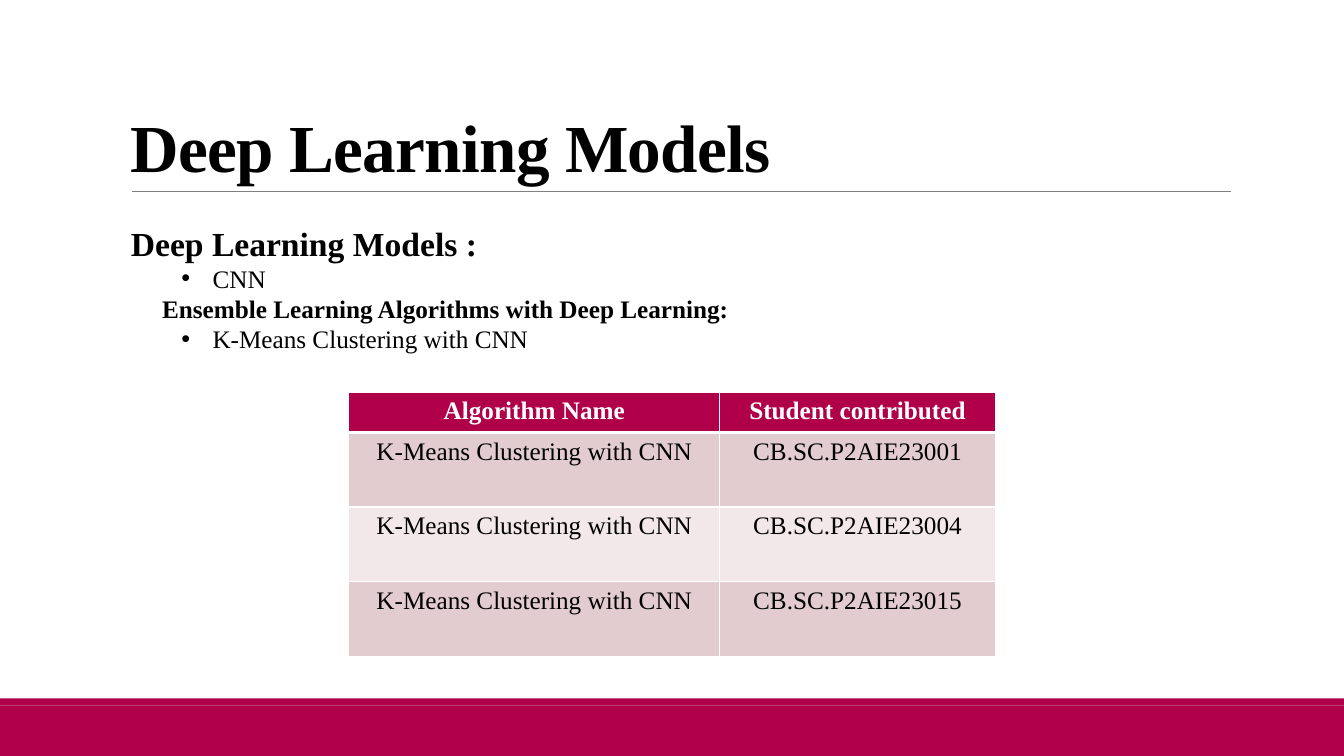
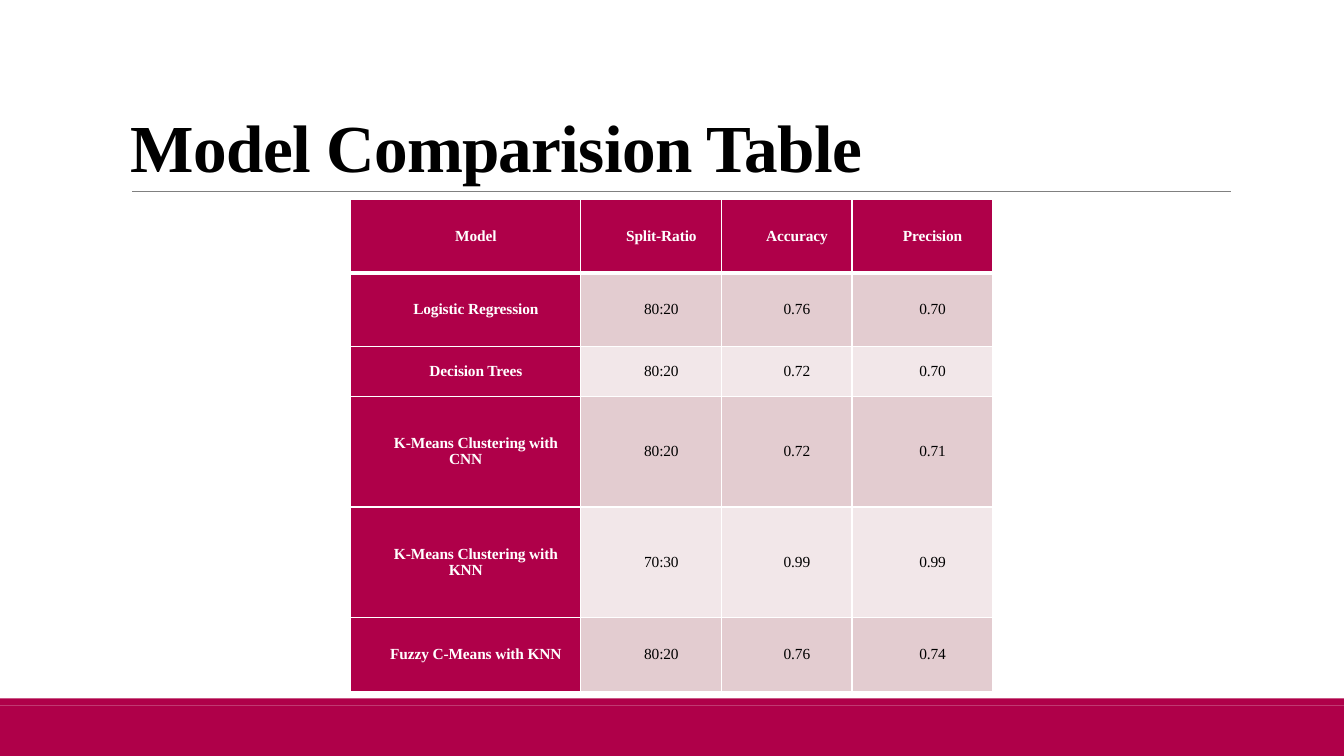
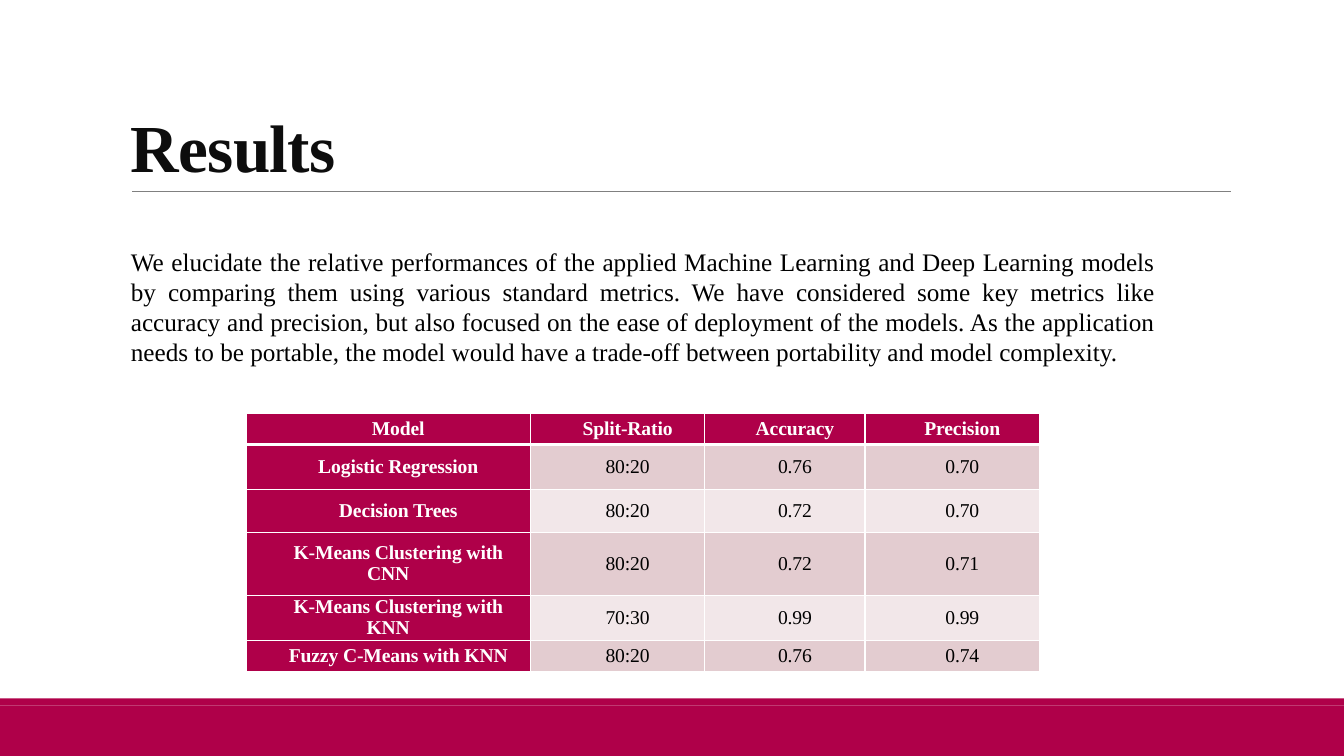
from dataclasses import dataclass

from lxml.etree import SubElement
from pptx import Presentation
from pptx.dml.color import RGBColor
from pptx.enum.shapes import MSO_CONNECTOR, MSO_SHAPE
from pptx.enum.text import MSO_ANCHOR, PP_ALIGN
from pptx.oxml.ns import qn
from pptx.slide import Slide
from pptx.table import _Cell
from pptx.text.text import TextFrame, _Paragraph
from pptx.util import Emu, Pt

PX = 9144  # EMU per px, 100 px to the inch
SLIDE_W, SLIDE_H = 1333, 750
BAND_TOP, BAND_MIDDLE = 693, 700
LEFT = 120

FONT = "Times New Roman"
CRIMSON = RGBColor(0xAF, 0x00, 0x49)
ROSE = RGBColor(0xE3, 0xCC, 0xD0)
PALE_ROSE = RGBColor(0xF2, 0xE7, 0xE9)
GREY = RGBColor(0x80, 0x80, 0x80)
WHITE = RGBColor(0xFF, 0xFF, 0xFF)
BLACK = RGBColor(0x00, 0x00, 0x00)
NEAR_BLACK = RGBColor(0x0D, 0x0D, 0x0D)


@dataclass(frozen=True)
class TextStyle:
    size: int
    color: RGBColor = BLACK
    bold: bool = False
    spacing: int = 0  # hundredths of a point


@dataclass(frozen=True)
class Line:
    text: str
    style: TextStyle
    margin: int = 0
    indent: int = 0
    bullet: bool = False
    align: PP_ALIGN = PP_ALIGN.LEFT


@dataclass(frozen=True)
class TableStyle:
    size: int
    header_column: bool = False
    compact: bool = False  # narrow insets, middle anchor, first-line indent


@dataclass(frozen=True)
class Grid:
    left: int
    top: int
    cols: tuple[int, ...]
    rows: tuple[int, ...]


BODY = TextStyle(18)
MODEL_ROWS = (
    ("Model", "Split-Ratio", "Accuracy", "Precision"),
    ("Logistic Regression", "80:20", "0.76", "0.70"),
    ("Decision Trees", "80:20", "0.72", "0.70"),
    ("K-Means Clustering with CNN", "80:20", "0.72", "0.71"),
    ("K-Means Clustering with KNN", "70:30", "0.99", "0.99"),
    ("Fuzzy C-Means with KNN", "80:20", "0.76", "0.74"),
)
STUDENT_ROWS = (
    ("Algorithm Name", "Student contributed"),
    *(("K-Means Clustering with CNN", f"CB.SC.P2AIE230{n}") for n in ("01", "04", "15")),
)
MODEL_LINES = (
    Line("Deep Learning Models :", TextStyle(24, bold=True)),
    Line("CNN", BODY, 81, -31, bullet=True),
    Line("Ensemble Learning Algorithms with Deep Learning:", TextStyle(18, bold=True), 31),
    Line("K-Means Clustering with CNN", BODY, 81, -31, bullet=True),
)
RESULTS_LINES = (
    Line(
        "We elucidate the relative performances of the applied Machine Learning and "
        "Deep Learning models by comparing them using various standard metrics. We have "
        "considered some key metrics like accuracy and precision, but also focused on the "
        "ease of deployment of the models. As the application needs to be portable, the "
        "model would have a trade-off between portability and model complexity.",
        BODY,
        align=PP_ALIGN.JUSTIFY,
    ),
)


def px(n: int) -> Emu:
    return Emu(n * PX)


def add_run(p: _Paragraph, text: str, style: TextStyle) -> None:
    r = p.add_run()
    r.text = text
    r.font.name = FONT
    r.font.size = Pt(style.size)
    r.font.bold = style.bold
    r.font.color.rgb = style.color
    if style.spacing:
        r.font._element.set("spc", str(style.spacing))


def set_indent(p: _Paragraph, margin: int, indent: int) -> None:
    pPr = p._p.get_or_add_pPr()
    pPr.set("marL", str(px(margin)))
    pPr.set("indent", str(px(indent)))


def add_text_frame(s: Slide, left: int, top: int, width: int, height: int) -> TextFrame:
    tf = s.shapes.add_textbox(px(left), px(top), px(width), px(height)).text_frame
    tf.word_wrap = True
    return tf


def add_lines(s: Slide, top: int, width: int, height: int, lines: tuple[Line, ...]) -> None:
    tf = add_text_frame(s, LEFT, top, width, height)
    for i, line in enumerate(lines):
        p = tf.add_paragraph() if i else tf.paragraphs[0]
        p.alignment = line.align
        set_indent(p, line.margin, line.indent)
        if line.bullet:
            pPr = p._p.get_or_add_pPr()
            SubElement(pPr, qn("a:buFont"), typeface="Arial")
            SubElement(pPr, qn("a:buChar"), char="•")
        add_run(p, line.text, line.style)


def add_band(s: Slide, top: int, bottom: int) -> None:
    sp = s.shapes.add_shape(MSO_SHAPE.RECTANGLE, 0, px(top), px(SLIDE_W), px(bottom - top))
    sp.shadow.inherit = False
    sp.fill.solid()
    sp.fill.fore_color.rgb = CRIMSON
    sp.line.fill.background()


def add_base_slide(prs: Presentation, title: str, color: RGBColor = BLACK, title_width: int = 1100) -> Slide:
    """Add a slide with the shared bands, rule and title."""
    s = prs.slides.add_slide(prs.slide_layouts[6])
    add_band(s, BAND_MIDDLE, SLIDE_H)
    add_band(s, BAND_TOP, BAND_MIDDLE)

    rule = s.shapes.add_connector(MSO_CONNECTOR.STRAIGHT, px(131), px(190), px(1221), px(190))
    rule.line.color.rgb = GREY
    rule.line.width = Pt(0.5)
    SubElement(rule._element.spPr, qn("a:effectLst"))

    tf = add_text_frame(s, LEFT, 31, title_width, 159)
    tf.vertical_anchor = MSO_ANCHOR.BOTTOM
    p = tf.paragraphs[0]
    p.line_spacing = 0.85
    add_run(p, title, TextStyle(48, color, True, -50))
    return s


def set_borders(cell: _Cell, row: int) -> None:
    """Draw white borders, thicker between the header and the body."""
    tcPr = cell._tc.get_or_add_tcPr()
    widths = {"lnL": 1, "lnR": 1, "lnT": 3 if row == 1 else 1, "lnB": 3 if row == 0 else 1}
    for tag, width in widths.items():
        ln = SubElement(tcPr, qn(f"a:{tag}"), w=str(Pt(width)))
        fill = SubElement(ln, qn("a:solidFill"))
        SubElement(fill, qn("a:srgbClr"), val=str(WHITE))


def fill_cell(cell: _Cell, text: str, row: int, is_header: bool, style: TableStyle) -> None:
    set_borders(cell, row)
    cell.fill.solid()
    cell.fill.fore_color.rgb = CRIMSON if is_header else ROSE if row % 2 else PALE_ROSE
    p = cell.text_frame.paragraphs[0]
    p.alignment = PP_ALIGN.CENTER
    if style.compact:
        cell.vertical_anchor = MSO_ANCHOR.MIDDLE
        cell.margin_left = cell.margin_right = px(7)
        cell.margin_top = cell.margin_bottom = 0
        set_indent(p, 0, 20)
        p.line_spacing = 0.95
        p.space_after = Pt(6)
    color = WHITE if is_header else BLACK
    add_run(p, text, TextStyle(style.size, color, is_header, -10 if style.compact else 0))


def add_grid(s: Slide, grid: Grid, data: tuple[tuple[str, ...], ...], style: TableStyle) -> None:
    table = s.shapes.add_table(
        len(grid.rows), len(grid.cols), px(grid.left), px(grid.top),
        px(sum(grid.cols)), px(sum(grid.rows)),
    ).table
    table.first_row = table.horz_banding = False
    for col, width in zip(table.columns, grid.cols):
        col.width = px(width)
    for row, height in zip(table.rows, grid.rows):
        row.height = px(height)
    for i, values in enumerate(data):
        for j, text in enumerate(values):
            is_header = i == 0 or (j == 0 and style.header_column)
            fill_cell(table.cell(i, j), text, i, is_header, style)


def main() -> None:
    prs = Presentation()
    prs.slide_width, prs.slide_height = px(SLIDE_W), px(SLIDE_H)

    s = add_base_slide(prs, "Deep Learning Models")
    add_lines(s, 216, 667, 172, MODEL_LINES)
    add_grid(s, Grid(346, 389, (368, 273), (35, 74, 74, 74)), STUDENT_ROWS, TableStyle(18))

    s = add_base_slide(prs, "Model Comparision Table", title_width=1196)
    grid = Grid(348, 198, (228, 140, 129, 140), (73, 73, 49, 110, 110, 73))
    add_grid(s, grid, MODEL_ROWS, TableStyle(11, header_column=True, compact=True))

    s = add_base_slide(prs, "Results", NEAR_BLACK)
    add_lines(s, 239, 1036, 131, RESULTS_LINES)
    grid = Grid(244, 410, (282, 173, 159, 173), (31, 45, 42, 63, 31, 31))
    add_grid(s, grid, MODEL_ROWS, TableStyle(14, header_column=True, compact=True))

    prs.save("out.pptx")


if __name__ == "__main__":
    main()
